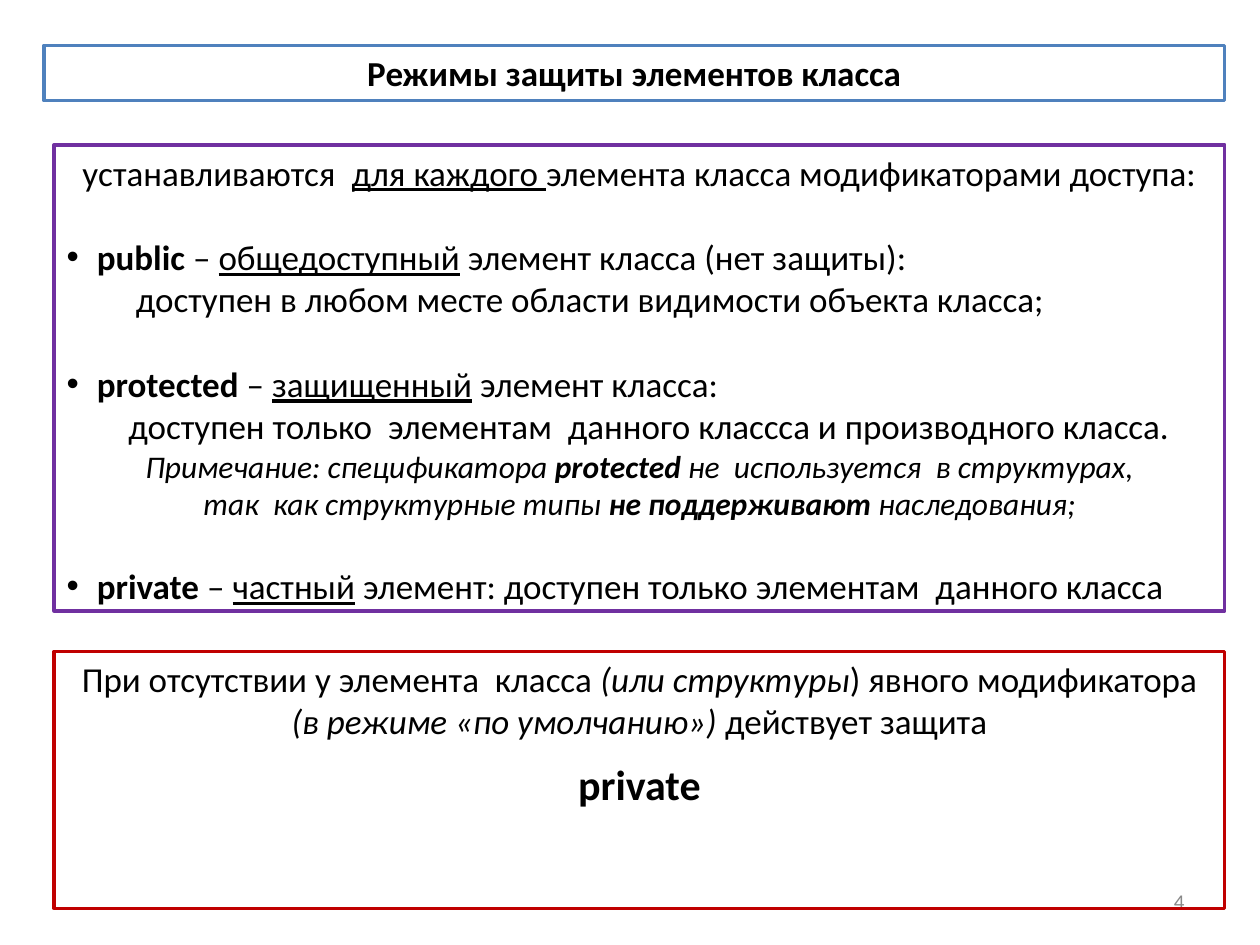
from pptx import Presentation
from pptx.dml.color import RGBColor
from pptx.enum.shapes import MSO_SHAPE
from pptx.enum.text import MSO_ANCHOR, PP_ALIGN
from pptx.oxml.ns import qn
from pptx.util import Inches, Pt
from lxml import etree

RECT = MSO_SHAPE.RECTANGLE
TOP, MID = MSO_ANCHOR.TOP, MSO_ANCHOR.MIDDLE
LEFT, MIDST, RIGHT = PP_ALIGN.LEFT, PP_ALIGN.CENTER, PP_ALIGN.RIGHT
BLACK = RGBColor(0x00, 0x00, 0x00)
GREY = RGBColor(0x89, 0x89, 0x89)
BLUE = RGBColor(0x4F, 0x81, 0xBD)
PURPLE = RGBColor(0x70, 0x30, 0xA0)
RED = RGBColor(0xC0, 0x00, 0x00)
WIDE, HIGH = 10, 7.5
EDGE = 9.72
SIDE = 0.43
HANG = 0.24
GAP = 24.4
STYLES = {"b": "bold", "i": "italic", "u": "underline"}


def line(*runs, size=20, align=MIDST, gap=0, dent=0, dot=False, color=BLACK):
    """Describe one paragraph; each run is a text and its style letters."""
    return {"runs": runs, "size": size, "align": align, "gap": gap,
            "dent": dent, "dot": dot, "color": color}


def item(*runs, gap=GAP):
    """Describe a bulleted paragraph."""
    return line(*runs, align=LEFT, gap=gap, dent=HANG, dot=True)


TITLE = [line(("Режимы защиты элементов класса", "b"))]
MODES = [
    line(("устанавливаются  ", ""), ("для каждого ", "u"),
         ("элемента класса модификаторами доступа:", "")),
    item(("public", "b"), (" – ", ""), ("общедоступный", "u"),
         (" элемент класса (нет защиты):", "")),
    line(("доступен в любом месте области видимости объекта класса;", ""),
         align=LEFT, dent=0.55),
    item(("protected", "b"), (" – ", ""), ("защищенный", "u"),
         (" элемент класса:", "")),
    line(("доступен только  элементам  данного классса и производного класса.", ""),
         align=LEFT, dent=0.49),
    line(("Примечание: спецификатора ", "i"), ("protected", "bi"),
         (" не  используется  в структурах,", "i"), size=18),
    line(("так  как структурные типы ", "i"), ("не поддерживают ", "bi"),
         ("наследования;", "i"), size=18),
    item(("private", "b"), (" – ", ""), ("частный", "u"),
         (" элемент: доступен только элементам  данного класса", "")),
]
RULE = [
    line(("При отсутствии у элемента  класса ", ""), ("(или структуры", "i"),
         (") явного модификатора", "")),
    line(("(в режиме «по умолчанию») ", "i"), ("действует защита", "")),
    line(("private", "b"), size=24, gap=9.8),
]
PAGE = [line(("4", ""), size=12, align=RIGHT, color=GREY)]


def indent(para, dent, dot):
    """Set the left indent and, for a list item, the hanging bullet."""
    props = para._p.get_or_add_pPr()
    props.set("marL", str(Inches(dent)))
    props.set("indent", str(-Inches(dent) if dot else 0))
    if dot:
        etree.SubElement(props, qn("a:buFont")).set("typeface", "Arial")
        etree.SubElement(props, qn("a:buChar")).set("char", "•")


def write(shape, lines, anchor=TOP):
    """Fill a shape with paragraphs."""
    frame = shape.text_frame
    frame.word_wrap = True
    frame.vertical_anchor = anchor
    for n, spec in enumerate(lines):
        para = frame.add_paragraph() if n else frame.paragraphs[0]
        para.alignment = spec["align"]
        para.space_before = Pt(spec["gap"])
        indent(para, spec["dent"], spec["dot"])
        for text, marks in spec["runs"]:
            run = para.add_run()
            run.text = text
            form = {"name": "Calibri", "size": Pt(spec["size"])}
            form.update((STYLES[mark], True) for mark in marks)
            for key, value in form.items():
                setattr(run.font, key, value)
            run.font.color.rgb = spec["color"]


def frame_box(slide, left, top, high, color, lines):
    """Add an outlined box that reaches the common right edge."""
    box = slide.shapes.add_shape(
        RECT, *map(Inches, (left, top, EDGE - left, high)))
    box.shadow.inherit = False
    box.fill.background()
    box.line.color.rgb = color
    box.line.width = Pt(2)
    write(box, lines)


def page_mark(slide):
    """Add the page number at the lower right."""
    area = (WIDE * 0.717, HIGH * 0.927, WIDE * 0.233, HIGH * 0.053)
    write(slide.shapes.add_textbox(*map(Inches, area)), PAGE, MID)


def main():
    """Build and save the slide."""
    deck = Presentation()
    deck.slide_width, deck.slide_height = Inches(WIDE), Inches(HIGH)
    slide = deck.slides.add_slide(deck.slide_layouts[6])
    page_mark(slide)
    frame_box(slide, SIDE, 1.15, 3.7, PURPLE, MODES)
    frame_box(slide, 0.35, 0.36, 0.44, BLUE, TITLE)
    frame_box(slide, SIDE, 5.17, 2.04, RED, RULE)
    deck.save("out.pptx")


if __name__ == "__main__":
    main()
